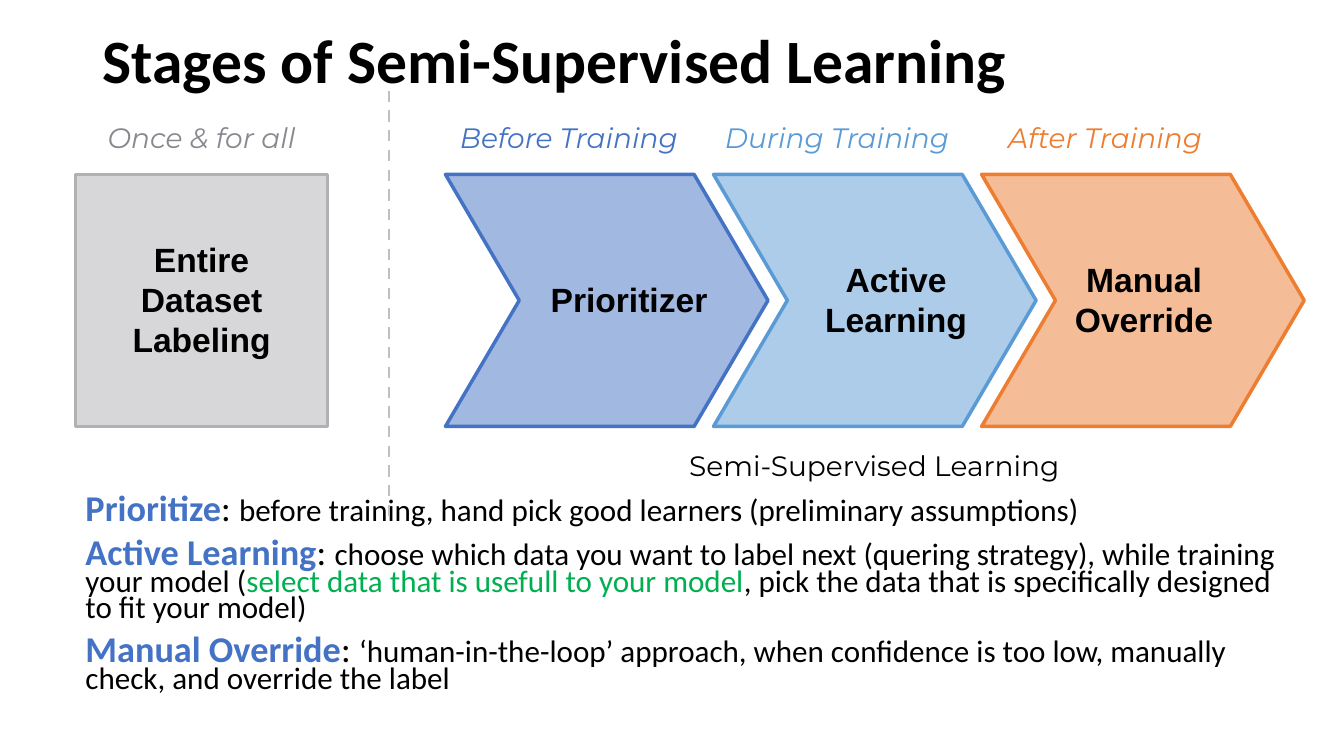
import pptx
import pptx.util
import pptx.dml.color
import pptx.enum.dml
import pptx.enum.shapes
import pptx.enum.text
import pptx.oxml.ns
from lxml import etree

Pt = pptx.util.Pt
Shape = pptx.enum.shapes.MSO_SHAPE
Align = pptx.enum.text.PP_ALIGN
Anchor = pptx.enum.text.MSO_ANCHOR

BLACK, BLUE, GREEN = "000000", "4472C4", "00B050"
TITLE = "Stages of Semi-Supervised Learning"

# caption, colour, label, label left, label top, label height
STAGES = [
    ("Before Training", BLUE, "Prioritizer", 380.2, 195.8, 36),
    ("During Training", "5B9BD5", "Active Learning", 571, 181.4, 65.5),
    ("After Training", "ED7D31", "Manual Override", 748.1, 181.4, 65.5),
]
# term, then the pieces of its explanation with their colours
EXPLANATIONS = [
    ("Prioritize", [
        ("before training, hand pick good learners (preliminary assumptions)", BLACK)]),
    ("Active Learning", [
        ("choose which data you want to label next (quering strategy), "
         "while training your model (", BLACK),
        ("select data that is usefull to your model", GREEN),
        (", pick the data that is specifically designed to fit your model)", BLACK)]),
    ("Manual Override", [
        ("‘human-in-the-loop’ approach, when confidence is too low, "
         "manually check, and override the label", BLACK)]),
]

BOX_LEFT, BOX_SIZE, ROW_TOP = 54, 180, 124.6
CHEVRON_LEFT, CHEVRON_WIDTH, CHEVRON_STEP = 318.2, 230.4, 191.5
CAPTION_TOP, CAPTION_WIDTH, CAPTION_HEIGHT = 82.8, 176.4, 31.7
LABEL_WIDTH = 138.2
DIVIDER_X = 277.9


def color(value):
    return pptx.dml.color.RGBColor.from_string(value)


def format_font(font, name, size, value, bold=False, italic=False):
    font.name = name
    font.size = Pt(size)
    font.bold = bold
    font.italic = italic
    font.color.rgb = color(value)


def add_text(left, top, width, height, text, name, size, value, **style):
    box = slide.shapes.add_textbox(Pt(left), Pt(top), Pt(width), Pt(height))
    box.text_frame.word_wrap = True
    box.text_frame.text = text
    paragraph = box.text_frame.paragraphs[0]
    paragraph.alignment = Align.CENTER
    format_font(paragraph.runs[0].font, name, size, value, **style)


def add_caption(left, top, width, text, value, italic=True):
    add_text(left, top, width, CAPTION_HEIGHT, text, "Montserrat", 20, value, italic=italic)


def add_label(left, top, height, text):
    add_text(left, top, LABEL_WIDTH, height, text, "Arial", 24, BLACK, bold=True)


def add_block(kind, left, width, value):
    """Add a half-transparent shape with a solid outline of the same colour."""
    shape = slide.shapes.add_shape(kind, Pt(left), Pt(ROW_TOP), Pt(width), Pt(BOX_SIZE))
    shape.shadow.inherit = False
    shape.fill.solid()
    shape.fill.fore_color.rgb = color(value)
    fill = shape._element.spPr.find(pptx.oxml.ns.qn("a:solidFill"))
    etree.SubElement(fill[0], pptx.oxml.ns.qn("a:alpha"), val="50000")
    shape.line.color.rgb = color(value)
    shape.line.width = Pt(2.5)
    return shape


presentation = pptx.Presentation()
presentation.slide_width, presentation.slide_height = Pt(960), Pt(540)
slide = presentation.slides.add_slide(presentation.slide_layouts[5])

title = slide.shapes.title
title.left, title.top, title.width, title.height = Pt(66), Pt(-6.5), Pt(828), Pt(104.4)
title.text_frame.text = TITLE
title.text_frame.auto_size = pptx.enum.text.MSO_AUTO_SIZE.NONE
title.text_frame.vertical_anchor = Anchor.MIDDLE
heading = title.text_frame.paragraphs[0]
heading.alignment = Align.LEFT
heading.line_spacing = 0.9
format_font(heading.runs[0].font, "Calibri", 44, BLACK, bold=True)

body = slide.shapes.add_textbox(Pt(54), Pt(351.4), Pt(878.4), Pt(153.4)).text_frame
body.word_wrap = True
for index, (term, pieces) in enumerate(EXPLANATIONS):
    paragraph = body.add_paragraph() if index else body.paragraphs[0]
    paragraph.line_spacing = 0.7
    paragraph.space_before = Pt(10 if index else 0)
    runs = [(term, 25.9, BLUE, True), (": ", 25.9, BLACK, False)]
    runs += [(text, 22.2, value, False) for text, value in pieces]
    for text, size, value, bold in runs:
        run = paragraph.add_run()
        run.text = text
        format_font(run.font, "Calibri", size, value, bold=bold)

for index, (caption, value, label, left, top, height) in enumerate(STAGES):
    stage_left = CHEVRON_LEFT + index * CHEVRON_STEP
    chevron = add_block(Shape.CHEVRON, stage_left, CHEVRON_WIDTH, value)
    chevron.adjustments[0] = 0.293
    add_caption(stage_left, CAPTION_TOP, CAPTION_WIDTH, caption, value)
    add_label(left, top, height, label)
add_caption(419, 316.8, 411.1, "Semi-Supervised Learning", BLACK, italic=False)

add_block(Shape.RECTANGLE, BOX_LEFT, BOX_SIZE, "B1B1B4")
add_label(BOX_LEFT + (BOX_SIZE - LABEL_WIDTH) / 2, 167, 94.3, "Entire Dataset Labeling")
add_caption(BOX_LEFT, CAPTION_TOP, BOX_SIZE, "Once & for all", "88888F")

divider = slide.shapes.add_connector(
    pptx.enum.shapes.MSO_CONNECTOR.STRAIGHT, Pt(DIVIDER_X), Pt(64.8), Pt(DIVIDER_X), Pt(370.8))
divider.line.color.rgb = color("BFBFBF")
divider.line.width = Pt(2)
divider.line.dash_style = pptx.enum.dml.MSO_LINE.DASH
etree.SubElement(divider._element.spPr, pptx.oxml.ns.qn("a:effectLst"))

presentation.save("out.pptx")
